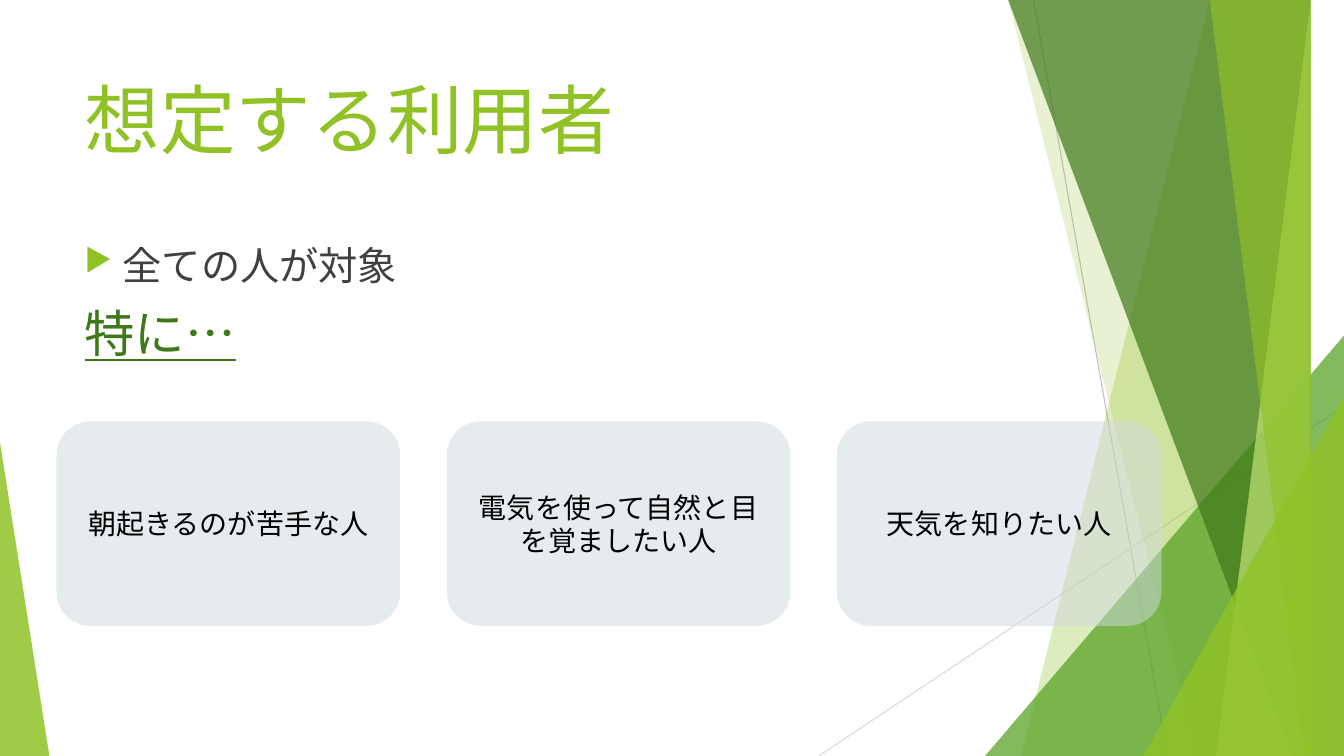
from lxml import etree
from pptx import Presentation
from pptx import util as u
from pptx.dml.color import RGBColor
from pptx.enum import lang, shapes, text
from pptx.oxml import ns

COLORS = {
    "lime": "90C226", "green": "54A021", "forest": "3F7819", "pale": "C0E474",
    "card": "CFDADF", "ink": "000000", "body": "404040",
    "rule": "BFBFBF", "light_rule": "D9D9D9",
}
FONT = "Cabin"
WIDTH, HEIGHT = 13.33, 7.5


def add_xml(parent, tag, **attributes):
    return etree.SubElement(parent, ns.qn(tag), attributes)


class SlideBuilder:
    def __init__(self, slide):
        self.slide = slide
        self.shapes = slide.shapes

    def color(self, name):
        return RGBColor.from_string(COLORS[name])

    def paint(self, shape, color, opacity):
        shape.shadow.inherit = False
        shape.line.fill.background()
        shape.fill.solid()
        shape.fill.fore_color.rgb = self.color(color)
        tint = shape._element.spPr.find(ns.qn("a:solidFill"))[0]
        add_xml(tint, "a:alpha", val=str(opacity * 1000))

    def line(self, start, end, color):
        rule = self.shapes.add_connector(
            shapes.MSO_CONNECTOR.STRAIGHT, *map(u.Inches, start + end))
        rule.line.color.rgb = self.color(color)
        rule.line.width = u.Pt(0.75)
        add_xml(rule._element.spPr, "a:effectLst")

    def band(self, top_left, bottom_left, color, opacity):
        """Fill from a slanted left edge to the right side of the slide."""
        outline = self.shapes.build_freeform(top_left, 0, scale=u.Inches(1))
        outline.add_line_segments(
            [(WIDTH, 0), (WIDTH, HEIGHT), (bottom_left, HEIGHT)])
        self.paint(outline.convert_to_shape(), color, opacity)

    def preset(self, kind, box, color, opacity):
        shape = self.shapes.add_shape(kind, *map(u.Inches, box))
        self.paint(shape, color, opacity)
        return shape

    def triangle(self, box, apex, color, opacity):
        corner = self.preset(shapes.MSO_SHAPE.ISOSCELES_TRIANGLE, box, color, opacity)
        corner.adjustments[0] = apex

    def add_wording(self, paragraph, wording, size, color, **formats):
        run = paragraph.add_run()
        run.text = wording
        run.font.color.rgb = self.color(color)
        formats.update(name=FONT, size=u.Pt(size),
                       language_id=lang.MSO_LANGUAGE_ID.JAPANESE)
        for key, value in formats.items():
            setattr(run.font, key, value)

    def frame(self, shape, anchor):
        for key, value in {"word_wrap": True, "vertical_anchor": anchor,
                           "auto_size": text.MSO_AUTO_SIZE.NONE}.items():
            setattr(shape.text_frame, key, value)
        return shape.text_frame

    def title(self, box, wording):
        heading = self.shapes.title
        for key, value in zip(("left", "top", "width", "height"), box):
            setattr(heading, key, u.Inches(value))
        paragraph = self.frame(heading, text.MSO_ANCHOR.TOP).paragraphs[0]
        paragraph.alignment = text.PP_ALIGN.LEFT
        self.add_wording(paragraph, wording, 54, "lime")

    def body(self, box, audience, lead_in):
        content = self.shapes.add_textbox(*map(u.Inches, box))
        frame = self.frame(content, text.MSO_ANCHOR.TOP)
        bullet, subheading = frame.paragraphs[0], frame.add_paragraph()
        for paragraph in (bullet, subheading):
            paragraph.space_before = u.Pt(10)
        self.bullet(bullet)
        self.add_wording(bullet, audience, 28, "body")
        self.add_wording(subheading, lead_in, 36, "forest", underline=True)

    def bullet(self, paragraph):
        props = paragraph._p.get_or_add_pPr()
        indent = u.Inches(0.38)
        props.set("marL", str(indent))
        props.set("indent", str(-indent))
        add_xml(add_xml(props, "a:buClr"), "a:srgbClr", val=COLORS["lime"])
        add_xml(props, "a:buSzPct", val="80000")
        add_xml(props, "a:buChar", char="▶")

    def card(self, box, wording):
        card = self.preset(shapes.MSO_SHAPE.FLOWCHART_ALTERNATE_PROCESS,
                           box, "card", 50)
        paragraph = self.frame(card, text.MSO_ANCHOR.MIDDLE).paragraphs[0]
        paragraph.alignment = text.PP_ALIGN.CENTER
        self.add_wording(paragraph, wording, 20, "ink")


def main():
    deck = Presentation()
    deck.slide_width, deck.slide_height = u.Inches(WIDTH), u.Inches(HEIGHT)
    page = SlideBuilder(deck.slides.add_slide(deck.slide_layouts[5]))

    # Faceted background
    page.line((10.25, 0), (11.58, HEIGHT), "rule")
    page.line((WIDTH, 4.03), (8.12, HEIGHT), "light_rule")
    page.band(12.28, 10.04, "lime", 30)
    page.band(10.5, 11.83, "lime", 20)
    page.triangle((9.77, 3.33, 3.56, 4.17), 1, "green", 72)
    page.band(10.21, 12.91, "forest", 70)
    page.band(13.03, 11.92, "pale", 70)
    page.band(11.96, 13.18, "lime", 65)
    page.triangle((11.34, 3.93, 1.99, 3.57), 1, "lime", 80)
    page.triangle((0, 4.39, 0.49, 3.11), 0, "lime", 85)

    # Title and target audience
    page.title((0.74, 0.67, 9.4, 1.44), "想定する利用者")
    page.body((0.74, 2.34, 9.4, 4.24), "全ての人が対象", "特に…")

    # User groups
    groups = [("朝起きるのが苦手な人", 3.41),
              ("電気を使って自然と目を覚ましたい人", 3.41),
              ("天気を知りたい人", 3.22)]
    for index, (group, width) in enumerate(groups):
        page.card((0.56 + 3.87 * index, 4.18, width, 2.03), group)

    deck.save("out.pptx")


if __name__ == "__main__":
    main()
